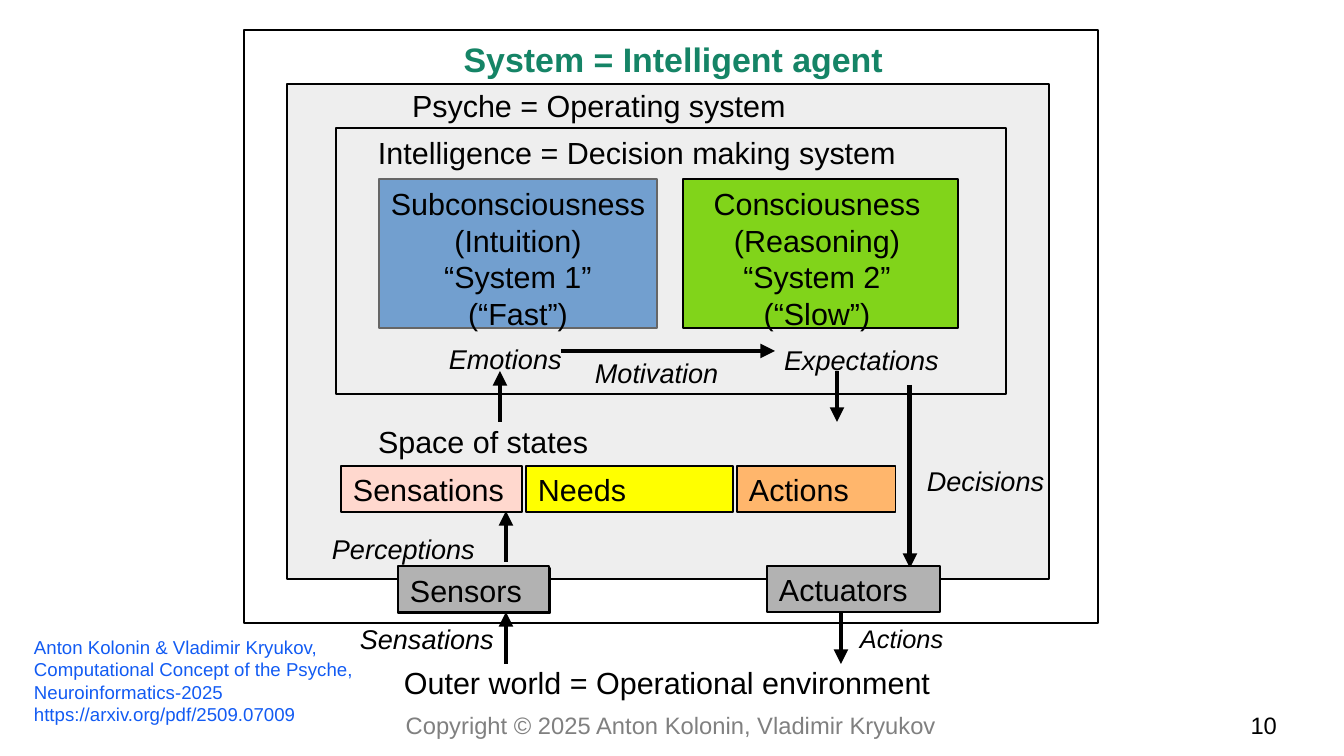
from dataclasses import dataclass

from lxml import etree
from pptx import Presentation
from pptx import util as u
from pptx.dml.color import RGBColor
from pptx.enum import shapes, text
from pptx.oxml import ns

PX = 914400 / 122
CENTER, LEFT, RIGHT = text.PP_ALIGN.CENTER, text.PP_ALIGN.LEFT, text.PP_ALIGN.RIGHT
TOP, MIDDLE = text.MSO_ANCHOR.TOP, text.MSO_ANCHOR.MIDDLE


@dataclass(frozen=True)
class Theme:
    font: str = "Arial"
    ink: str = "000000"
    title: str = "158466"
    citation: str = "125BF3"
    copyright: str = "808080"
    psyche: str = "EEEEEE"
    intuition: str = "729FCF"
    intuition_edge: str = "666666"
    reasoning: str = "81D41A"
    sensations: str = "FFD8CE"
    needs: str = "FFFF00"
    actions: str = "FFB66C"
    device: str = "B2B2B2"
    title_size: int = 20
    body_size: int = 18
    flow_size: int = 16
    small_flow_size: int = 15
    footer_size: int = 14
    citation_size: int = 11
    arrow_width: float = 2.89


THEME = Theme()


@dataclass(frozen=True)
class Box:
    x: int
    y: int
    w: int
    h: int

    def inner(self, dx, dy, w, h):
        return Box(self.x + dx, self.y + dy, w, h)

    def emu(self):
        return [px(value) for value in (self.x, self.y, self.w, self.h)]


def px(value):
    return u.Emu(round(value * PX))


def write(frame, words, size=THEME.body_size, color=THEME.ink, align=LEFT,
          anchor=MIDDLE, bold=False, italic=False, insets=(12, 6, 0, 6)):
    frame.word_wrap = True
    frame.vertical_anchor = anchor
    (frame.margin_left, frame.margin_top,
     frame.margin_right, frame.margin_bottom) = map(px, insets)
    frame.text = words
    for paragraph in frame.paragraphs:
        paragraph.alignment = align
        for run in paragraph.runs:
            font = run.font
            font.name, font.size = THEME.font, u.Pt(size)
            font.bold, font.italic = bold, italic
            font.color.rgb = RGBColor.from_string(color)


def label(slide, box, words, **style):
    write(slide.shapes.add_textbox(*box.emu()).text_frame, words, **style)


def flow_label(slide, box, words, size=THEME.flow_size):
    label(slide, box, words, size=size, italic=True, anchor=TOP)


def block(slide, box, fill=None, words=None, edge=THEME.ink, **style):
    rect = slide.shapes.add_shape(shapes.MSO_SHAPE.RECTANGLE, *box.emu())
    rect.shadow.inherit = False
    if fill:
        rect.fill.solid()
        rect.fill.fore_color.rgb = RGBColor.from_string(fill)
    else:
        rect.fill.background()
    rect.line.color.rgb = RGBColor.from_string(edge)
    rect.line.width = u.Pt(0)
    if words:
        write(rect.text_frame, words, **style)


def arrow(slide, box, x1, y1, x2, y2):
    """Draw an arrow between two points measured from the box's corner."""
    link = slide.shapes.add_connector(
        shapes.MSO_CONNECTOR.STRAIGHT,
        px(box.x + x1), px(box.y + y1), px(box.x + x2), px(box.y + y2))
    link.line.color.rgb = RGBColor.from_string(THEME.ink)
    link.line.width = u.Pt(THEME.arrow_width)
    etree.SubElement(link.line._get_or_add_ln(), ns.qn("a:tailEnd"), type="triangle")
    etree.SubElement(link._element.spPr, ns.qn("a:effectLst"))


def draw_intelligence(slide, box):
    block(slide, box)
    label(slide, box.inner(30, 1, 605, 46), "Intelligence = Decision making system")
    block(slide, box.inner(43, 51, 278, 149), THEME.intuition,
          "Subconsciousness\n(Intuition)\n“System 1”\n(“Fast”)",
          edge=THEME.intuition_edge, align=CENTER, anchor=TOP, insets=(0, 6, 0, 6))
    block(slide, box.inner(347, 51, 275, 149), THEME.reasoning,
          "Consciousness\n(Reasoning)\n“System 2”\n(“Slow”)",
          align=CENTER, anchor=TOP, insets=(0, 6, 7, 6))
    arrow(slide, box, 225, 223, 439, 223)
    flow_label(slide, box.inner(101, 208, 137, 43), "Emotions")
    flow_label(slide, box.inner(247, 222, 173, 43), "Motivation")
    flow_label(slide, box.inner(436, 209, 179, 43), "Expectations")


def draw_states(slide, box, gap=4):
    """Lay the state cells side by side along the bottom of the box."""
    label(slide, box.inner(25, 0, 519, 46), "Space of states")
    left = 0
    for words, width, fill in (("Sensations", 181, THEME.sensations),
                               ("Needs", 207, THEME.needs),
                               ("Actions", 159, THEME.actions)):
        block(slide, box.inner(left, box.h - 46, width, 46), fill, words)
        left += width + gap


def draw_psyche(slide, box):
    block(slide, box, THEME.psyche)
    label(slide, box.inner(113, -2, 511, 46), "Psyche = Operating system")
    draw_intelligence(slide, box.inner(49, 44, 670, 266))
    draw_states(slide, box.inner(54, 334, 555, 94))
    arrow(slide, box, 213, 338, 213, 287)
    arrow(slide, box, 550, 287, 550, 338)
    arrow(slide, box, 219, 478, 219, 427)
    arrow(slide, box, 623, 301, 623, 484)
    flow_label(slide, box.inner(33, 442, 182, 43), "Perceptions")
    flow_label(slide, box.inner(628, 374, 142, 43), "Decisions")


def draw_agent(slide, box):
    block(slide, box)
    label(slide, box.inner(111, 4, 637, 50), "System = Intelligent agent",
          size=THEME.title_size, color=THEME.title, bold=True, align=CENTER,
          insets=(0, 6, 0, 6))
    draw_psyche(slide, box.inner(43, 54, 762, 495))
    block(slide, box.inner(154, 538, 152, 45))
    block(slide, box.inner(154, 536, 151, 46), THEME.device, "Sensors", anchor=TOP)
    block(slide, box.inner(523, 536, 173, 46), THEME.device, "Actuators")


def draw_outer_world(slide, box):
    arrow(slide, box, 262, 52, 262, 0)
    arrow(slide, box, 597, 0, 597, 52)
    flow_label(slide, box.inner(104, 4, 183, 43), "Sensations")
    flow_label(slide, box.inner(604, 5, 145, 40), "Actions", THEME.small_flow_size)
    label(slide, box.inner(148, 46, 554, 46),
          "Outer world = Operational environment", anchor=TOP)


def draw_footer(slide, box):
    label(slide, box.inner(22, 0, 346, 95),
          "Anton Kolonin & Vladimir Kryukov,\nComputational Concept of the Psyche,\n"
          "Neuroinformatics-2025\nhttps://arxiv.org/pdf/2509.07009",
          size=THEME.citation_size, color=THEME.citation, anchor=TOP)
    for left, width, words, color, align in (
            (244, 854, "Copyright © 2025 Anton Kolonin, Vladimir Kryukov",
             THEME.copyright, CENTER),
            (1129, 148, "10", THEME.ink, RIGHT)):
        label(slide, box.inner(left, 81, width, 31), words, size=THEME.footer_size,
              color=color, align=align, anchor=TOP, insets=(0, 0, 0, 0))


def main():
    deck = Presentation()
    deck.slide_width, deck.slide_height = px(1344), px(756)
    slide = deck.slides.add_slide(deck.slide_layouts[6])
    draw_agent(slide, Box(244, 30, 854, 593))
    draw_outer_world(slide, Box(244, 612, 854, 92))
    draw_footer(slide, Box(0, 630, 1344, 126))
    deck.save("out.pptx")


if __name__ == "__main__":
    main()
